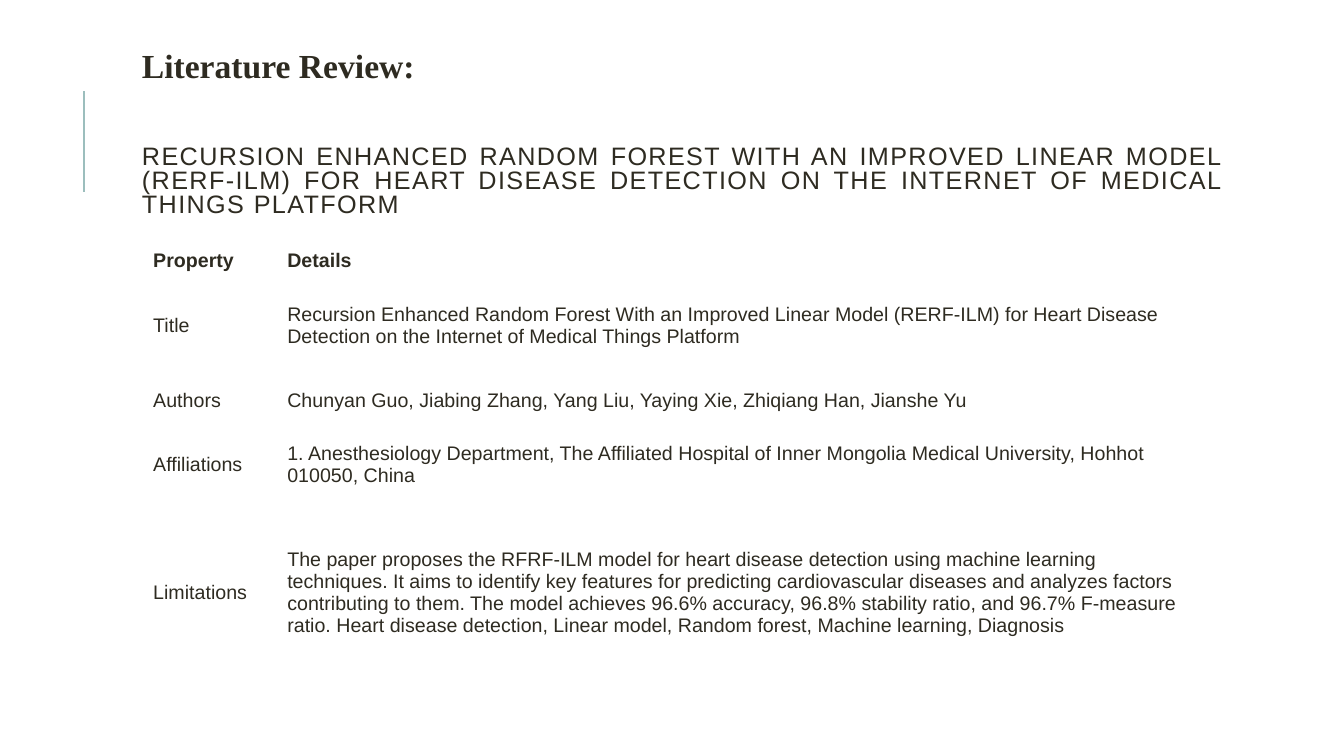
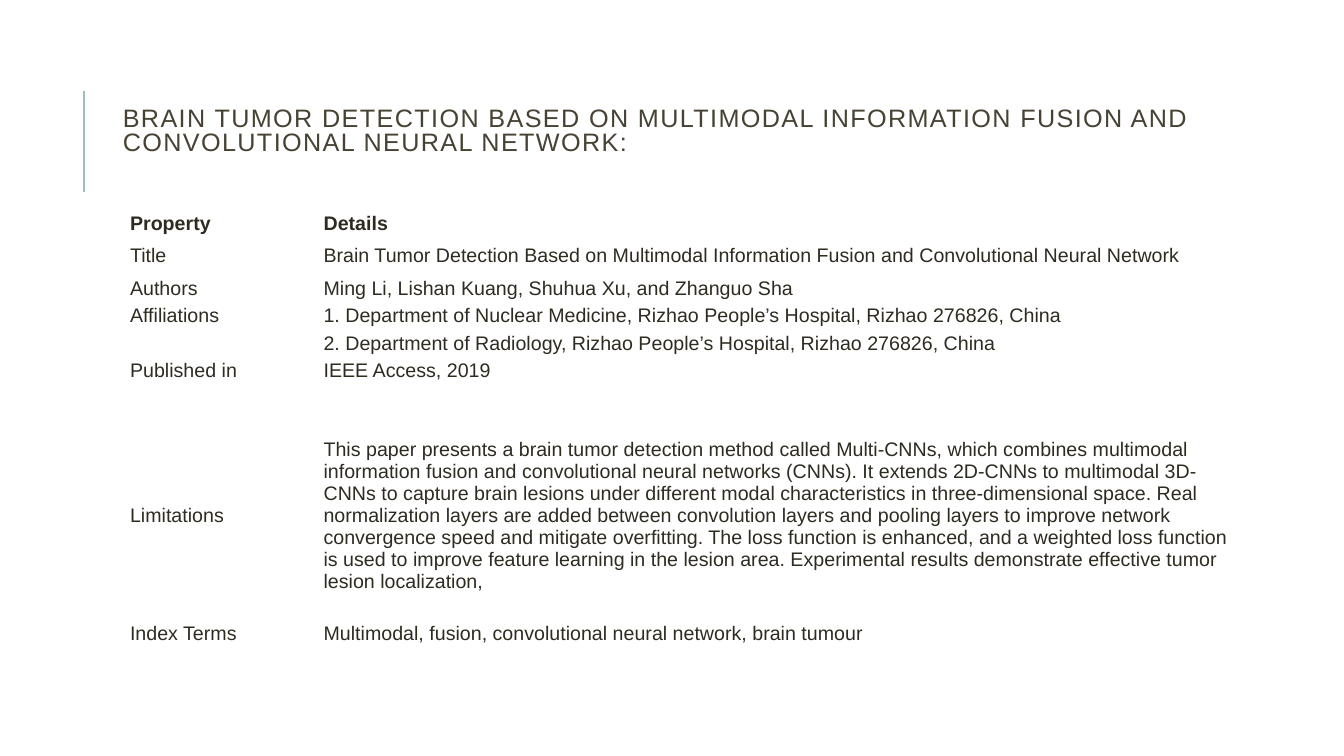
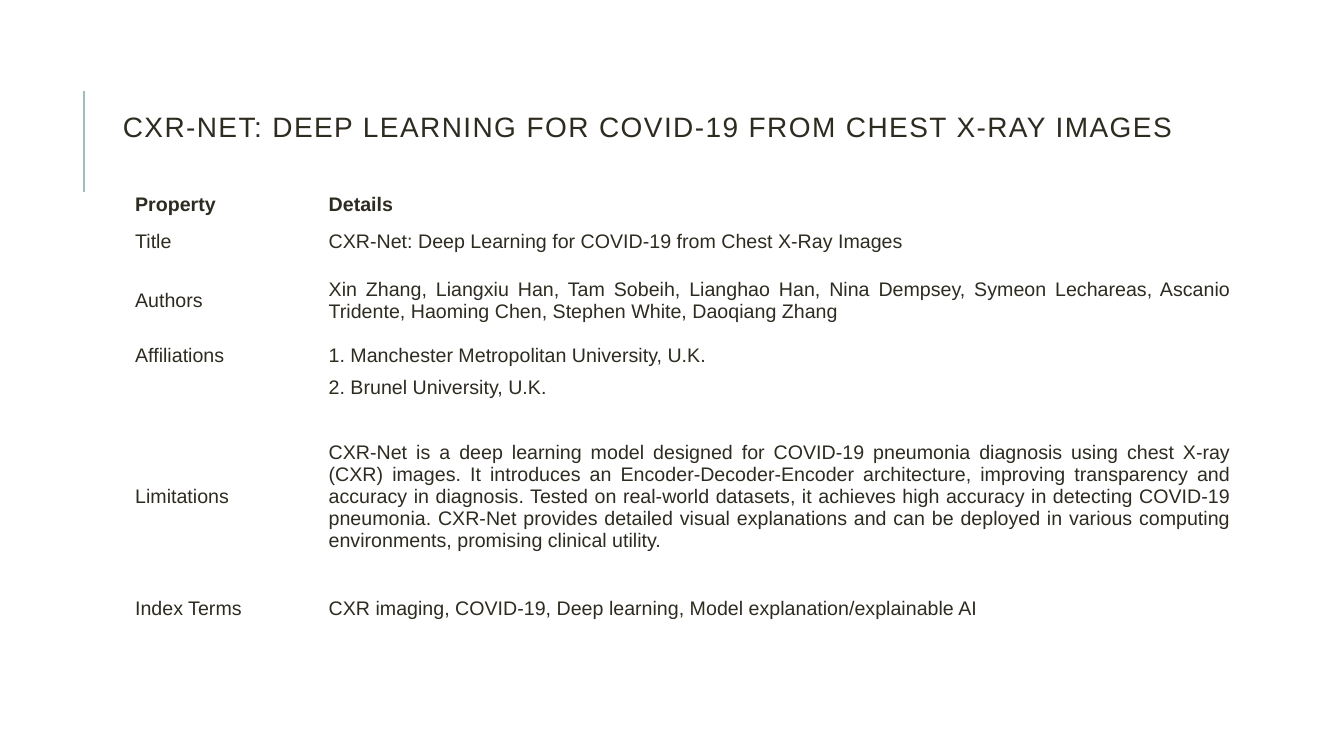
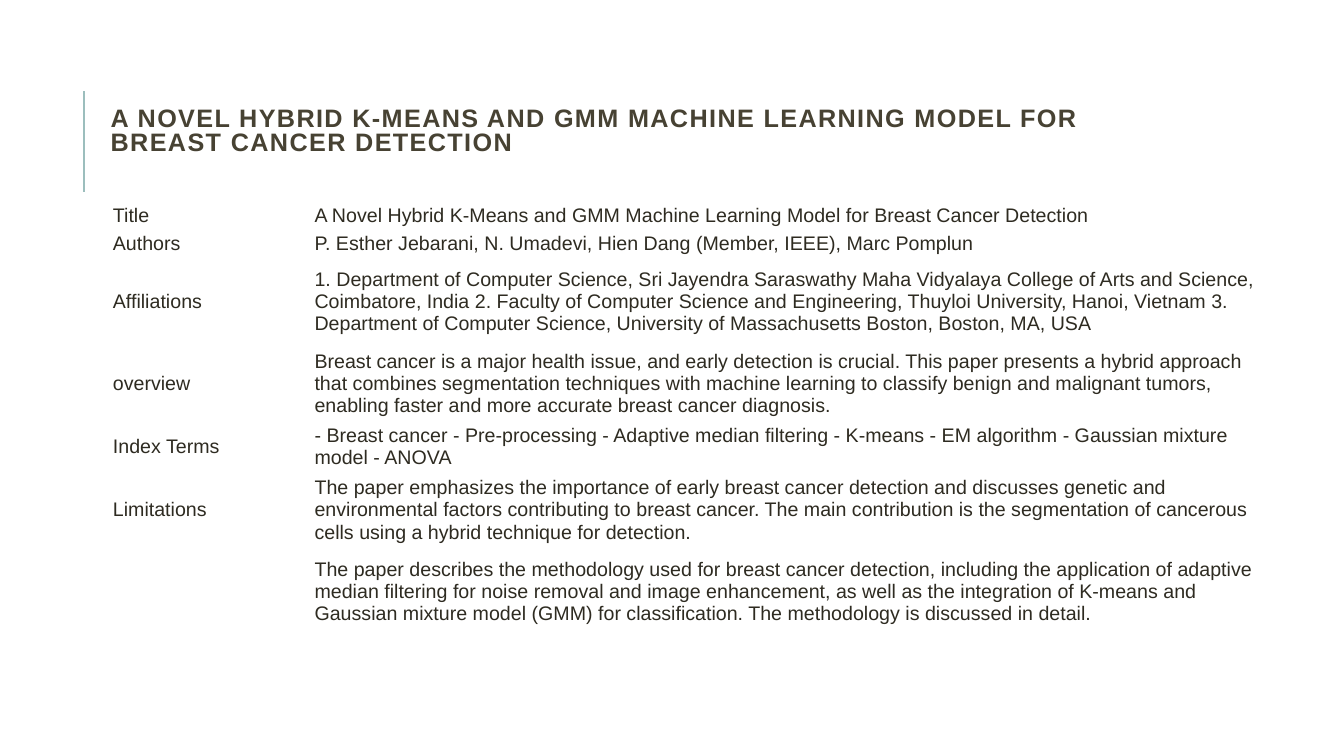
import pptx
import pptx.dml.color
import pptx.enum.shapes
import pptx.enum.text
import pptx.oxml
import pptx.util

Inches = pptx.util.Inches
Pt = pptx.util.Pt
LEFT = pptx.enum.text.PP_ALIGN.LEFT
JUSTIFY = pptx.enum.text.PP_ALIGN.JUSTIFY
MIDDLE = pptx.enum.text.MSO_ANCHOR.MIDDLE
INK = "2E2B21"
OLIVE = "474233"
TEAL = "9CBEBD"
HEADER = ("Property", "Details")


def rgb(color):
    return pptx.dml.color.RGBColor.from_string(color)


def write(tf, text, size, color=INK, bold=False, align=LEFT, name="Arial"):
    tf.word_wrap = True
    p = tf.paragraphs[0]
    p.alignment = align
    p.font.size = Pt(size)
    p.font.name = name
    p.font.bold = bold
    p.font.color.rgb = rgb(color)
    if text:
        p.add_run().text = text
    return p


slides = [
    {
        "title": "RECURSION ENHANCED RANDOM FOREST WITH AN IMPROVED LINEAR MODEL (RERF-ILM) FOR HEART DISEASE DETECTION ON THE INTERNET OF MEDICAL THINGS PLATFORM",
        "box": (1.31, 1.33, 10.92, 0.96), "bottom": 0.05, "size": 18, "color": INK,
        "bold": False, "title_align": JUSTIFY,
        "at": (1.46, 2.42), "cols": (1.33, 9.08), "margins": (0.06, 0.03), "align": LEFT,
        "heights": (0.33, 0.97, 0.52, 0.75, 1.79),
        "rows": [
            HEADER,
            ("Title", "Recursion Enhanced Random Forest With an Improved Linear Model (RERF-ILM) for Heart Disease Detection on the Internet of Medical Things Platform"),
            ("Authors", "Chunyan Guo, Jiabing Zhang, Yang Liu, Yaying Xie, Zhiqiang Han, Jianshe Yu"),
            ("Affiliations", "1. Anesthesiology Department, The Affiliated Hospital of Inner Mongolia Medical University, Hohhot 010050, China"),
            ("Limitations", "The paper proposes the RFRF-ILM model for heart disease detection using machine learning techniques. It aims to identify key features for predicting cardiovascular diseases and analyzes factors contributing to them. The model achieves 96.6% accuracy, 96.8% stability ratio, and 96.7% F-measure ratio. Heart disease detection, Linear model, Random forest, Machine learning, Diagnosis"),
        ],
    },
    {
        "title": "BRAIN TUMOR DETECTION BASED ON MULTIMODAL INFORMATION FUSION AND CONVOLUTIONAL NEURAL NETWORK:",
        "box": (1.12, 0.67, 11.8, 1.64), "bottom": 0.4, "size": 18, "color": OLIVE,
        "bold": False, "title_align": LEFT,
        "at": (1.25, 2.08), "cols": (1.92, 9.16), "margins": (0.04, 0.02), "align": LEFT,
        "heights": (0.26, 0.37, 0.26, 0.26, 0.26, 0.26, 0.26, 2.06, 0.26),
        "rows": [
            HEADER,
            ("Title", "Brain Tumor Detection Based on Multimodal Information Fusion and Convolutional Neural Network"),
            ("Authors", "Ming Li, Lishan Kuang, Shuhua Xu, and Zhanguo Sha"),
            ("Affiliations", "1. Department of Nuclear Medicine, Rizhao People’s Hospital, Rizhao 276826, China"),
            ("", "2. Department of Radiology, Rizhao People’s Hospital, Rizhao 276826, China"),
            ("Published in", "IEEE Access, 2019"),
            ("", ""),
            ("Limitations", "This paper presents a brain tumor detection method called Multi-CNNs, which combines multimodal information fusion and convolutional neural networks (CNNs). It extends 2D-CNNs to multimodal 3D-CNNs to capture brain lesions under different modal characteristics in three-dimensional space. Real normalization layers are added between convolution layers and pooling layers to improve network convergence speed and mitigate overfitting. The loss function is enhanced, and a weighted loss function is used to improve feature learning in the lesion area. Experimental results demonstrate effective tumor lesion localization,"),
            ("Index Terms", "Multimodal, fusion, convolutional neural network, brain tumour"),
        ],
    },
    {
        "title": "CXR-NET: DEEP LEARNING FOR COVID-19 FROM CHEST X-RAY IMAGES",
        "box": (1.12, 0.64, 10.63, 1.64), "bottom": 0.4, "size": 20, "color": INK,
        "bold": False, "title_align": LEFT,
        "at": (1.29, 1.87), "cols": (1.92, 9.05), "margins": (0.05, 0.02), "align": JUSTIFY,
        "heights": (0.32, 0.41, 0.77, 0.32, 0.32, 1.83, 0.41),
        "rows": [
            HEADER,
            ("Title", "CXR-Net: Deep Learning for COVID-19 from Chest X-Ray Images"),
            ("Authors", "Xin Zhang, Liangxiu Han, Tam Sobeih, Lianghao Han, Nina Dempsey, Symeon Lechareas, Ascanio Tridente, Haoming Chen, Stephen White, Daoqiang Zhang"),
            ("Affiliations", "1. Manchester Metropolitan University, U.K."),
            ("", "2. Brunel University, U.K."),
            ("Limitations", "CXR-Net is a deep learning model designed for COVID-19 pneumonia diagnosis using chest X-ray (CXR) images. It introduces an Encoder-Decoder-Encoder architecture, improving transparency and accuracy in diagnosis. Tested on real-world datasets, it achieves high accuracy in detecting COVID-19 pneumonia. CXR-Net provides detailed visual explanations and can be deployed in various computing environments, promising clinical utility."),
            ("Index Terms", "CXR imaging, COVID-19, Deep learning, Model explanation/explainable AI"),
        ],
    },
    {
        "title": "A NOVEL HYBRID K-MEANS AND GMM MACHINE LEARNING MODEL FOR BREAST CANCER DETECTION",
        "box": (1, 0.67, 10.63, 1.64), "bottom": 0.4, "size": 18, "color": OLIVE,
        "bold": True, "title_align": LEFT,
        "at": (1.08, 2), "cols": (2, 9.58), "margins": (0.04, 0.02), "align": LEFT,
        "heights": (0.28, 0.28, 0.87, 0.75, 0.48, 0.75, 0.87),
        "rows": [
            ("Title", "A Novel Hybrid K-Means and GMM Machine Learning Model for Breast Cancer Detection"),
            ("Authors", "P. Esther Jebarani, N. Umadevi, Hien Dang (Member, IEEE), Marc Pomplun"),
            ("Affiliations", "1. Department of Computer Science, Sri Jayendra Saraswathy Maha Vidyalaya College of Arts and Science, Coimbatore, India 2. Faculty of Computer Science and Engineering, Thuyloi University, Hanoi, Vietnam 3. Department of Computer Science, University of Massachusetts Boston, Boston, MA, USA"),
            ("overview", "Breast cancer is a major health issue, and early detection is crucial. This paper presents a hybrid approach that combines segmentation techniques with machine learning to classify benign and malignant tumors, enabling faster and more accurate breast cancer diagnosis."),
            ("Index Terms", "- Breast cancer - Pre-processing - Adaptive median filtering - K-means - EM algorithm - Gaussian mixture model - ANOVA"),
            ("Limitations", "The paper emphasizes the importance of early breast cancer detection and discusses genetic and environmental factors contributing to breast cancer. The main contribution is the segmentation of cancerous cells using a hybrid technique for detection."),
            ("", "The paper describes the methodology used for breast cancer detection, including the application of adaptive median filtering for noise removal and image enhancement, as well as the integration of K-means and Gaussian mixture model (GMM) for classification. The methodology is discussed in detail."),
        ],
    },
]

prs = pptx.Presentation()
prs.slide_width = Inches(13.33)
prs.slide_height = Inches(7.5)

for data in slides:
    s = prs.slides.add_slide(prs.slide_layouts[6])

    rule = s.shapes.add_connector(
        pptx.enum.shapes.MSO_CONNECTOR.STRAIGHT,
        Inches(0.83), Inches(1.9), Inches(0.83), Inches(0.9))
    rule.line.color.rgb = rgb(TEAL)
    rule.line.width = Pt(1.5)
    rule._element.spPr.append(pptx.oxml.parse_xml(
        '<a:effectLst xmlns:a="http://schemas.openxmlformats.org/drawingml/2006/main"/>'))

    tf = s.shapes.add_textbox(*map(Inches, data["box"])).text_frame
    tf.vertical_anchor = MIDDLE
    tf.margin_bottom = Inches(data["bottom"])
    p = write(tf, data["title"], data["size"], data["color"], data["bold"], data["title_align"])
    p.line_spacing = 0.8
    p.runs[0]._r.get_or_add_rPr().set("spc", "100")

    x, y = data["at"]
    table = s.shapes.add_table(
        len(data["rows"]), len(data["cols"]), Inches(x), Inches(y),
        Inches(sum(data["cols"])), Inches(sum(data["heights"]))).table
    table.first_row = False
    table.horz_banding = False
    for col, width in zip(table.columns, data["cols"]):
        col.width = Inches(width)
    side, edge = map(Inches, data["margins"])
    for row, height, texts in zip(table.rows, data["heights"], data["rows"]):
        row.height = Inches(height)
        for cell, text in zip(row.cells, texts):
            cell.fill.background()
            cell.vertical_anchor = MIDDLE
            cell.margin_left = cell.margin_right = side
            cell.margin_top = cell.margin_bottom = edge
            write(cell.text_frame, text, 14, bold=texts == HEADER, align=data["align"])

tf = prs.slides[0].shapes.add_textbox(Inches(1.31), Inches(0.4), Inches(3.94), Inches(0.5)).text_frame
tf.auto_size = pptx.enum.text.MSO_AUTO_SIZE.SHAPE_TO_FIT_TEXT
write(tf, "Literature Review:", 24, bold=True, name="Times New Roman")

prs.save("out.pptx")
